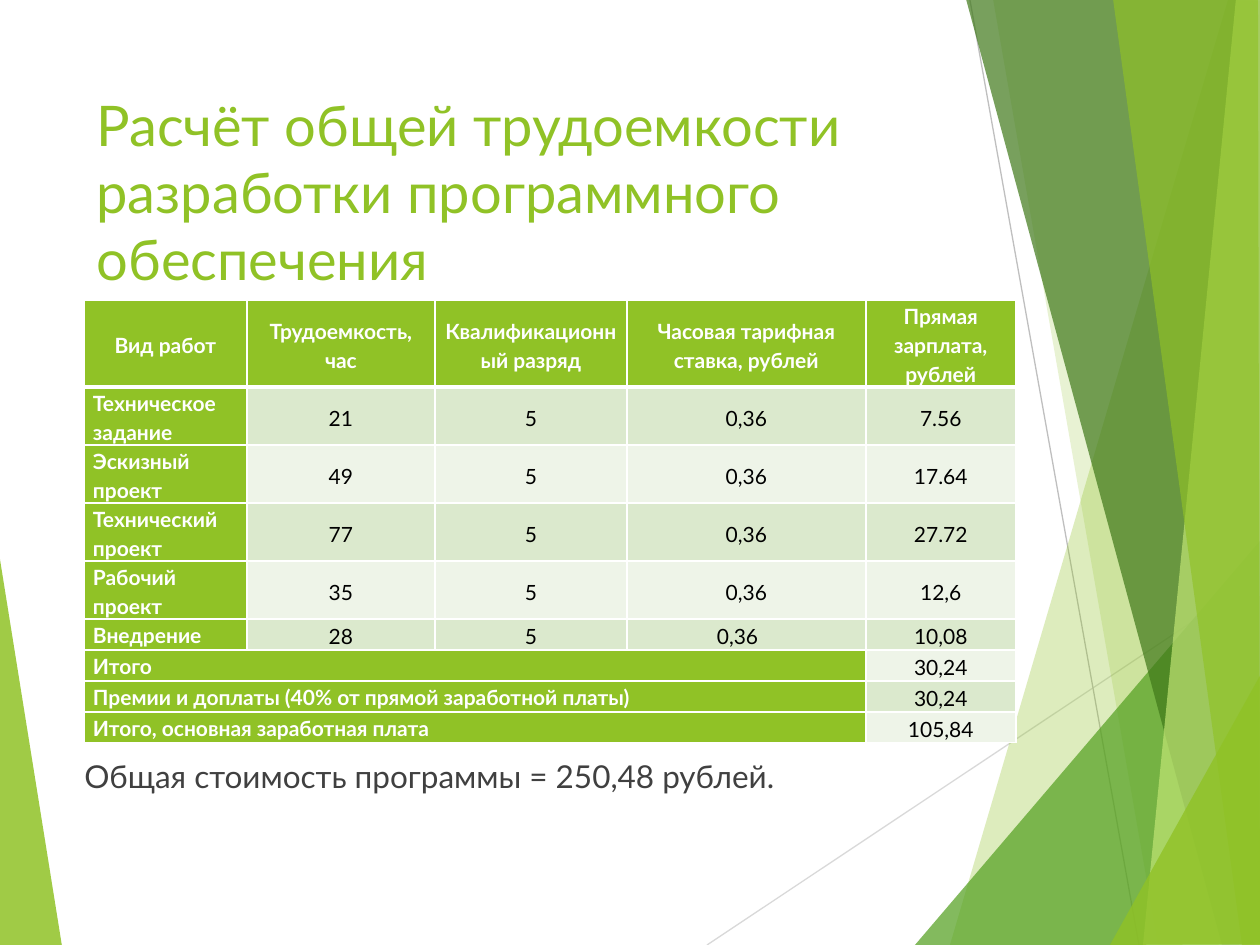
"""Build a slide with the labour cost table for software development."""
import pptx
import pptx.dml.color
import pptx.enum.shapes
import pptx.enum.text
import pptx.oxml.ns
import pptx.util
from lxml import etree

PX = 914400 / 126
FONT = "Lato"
COLORS = {
    "green": "90C226", "leaf": "54A021", "forest": "3F7819", "lime": "C0E474",
    "band": "DBE9CD", "pale": "EEF4E8", "white": "FFFFFF", "black": "000000",
    "text": "404040", "light_line": "D9D9D9", "dark_line": "BFBFBF",
}

TITLE = "Расчёт общей трудоемкости разработки программного обеспечения"
TOTAL = "Общая стоимость программы = 250,48 рублей."
HEADERS = ["Вид работ", "Трудоемкость, час", "Квалификационный разряд",
           "Часовая тарифная ставка, рублей", "Прямая зарплата, рублей"]
WORKS = [
    ["Техническое задание", "21", "5", "0,36", "7.56"],
    ["Эскизный проект", "49", "5", "0,36", "17.64"],
    ["Технический проект", "77", "5", "0,36", "27.72"],
    ["Рабочий проект", "35", "5", "0,36", "12,6"],
    ["Внедрение", "28", "5", "0,36", "10,08"],
]
SUMS = [
    ["Итого", "30,24"],
    ["Премии и доплаты (40% от прямой заработной платы)", "30,24"],
    ["Итого, основная заработная плата", "105,84"],
]
COLUMN_WIDTHS = [163, 188, 192, 239, 150]
ROW_HEIGHTS = [87] + [58] * 4 + [31] * 4
INDENTED_CELL = (5, 3)
RATE_INDENT = 81

LEFT_FACET = ("green", 85, [(-1, 553), (62, 946), (-1, 945)])
RAYS = [("light_line", (707, 945), (1261, 576)), ("dark_line", (970, 0), (1139, 945))]
RIGHT_FACETS = [
    ("green", 30, [(1228, 0), (950, 945), (1262, 946), (1261, 1)]),
    ("green", 20, [(993, -1), (1158, 945), (1261, 945), (1261, -1)]),
    ("leaf", 72, [(915, 945), (1260, 541), (1261, 945)]),
    ("forest", 70, [(966, -1), (1222, 945), (1261, 944), (1261, -1)]),
    ("lime", 70, [(1236, -1), (1143, 945), (1261, 945), (1260, -1)]),
    ("green", 65, [(1113, -1), (1242, 945), (1260, 945), (1258, -1)]),
    ("green", 80, [(1110, 945), (1261, 674), (1261, 944)]),
]


def px(value):
    return pptx.util.Emu(round(value * PX))


def rgb(name):
    return pptx.dml.color.RGBColor.from_string(COLORS[name])


def add_element(parent, tag, **attributes):
    return etree.SubElement(parent, pptx.oxml.ns.qn(tag), attributes)


def write(text_frame, text, size, color, bold=False):
    paragraph = text_frame.paragraphs[0]
    run = paragraph.add_run()
    run.text = text
    run.font.name = FONT
    run.font.size = pptx.util.Pt(size)
    run.font.bold = bold
    run.font.color.rgb = rgb(color)
    return paragraph


def add_facet(slide, color, opacity, points):
    builder = slide.shapes.build_freeform(*points[0], scale=PX)
    builder.add_line_segments(points[1:], close=True)
    shape = builder.convert_to_shape()
    shape.shadow.inherit = False
    shape.line.fill.background()
    shape.fill.solid()
    shape.fill.fore_color.rgb = rgb(color)
    color_element = shape.fill._xPr.find(".//" + pptx.oxml.ns.qn("a:srgbClr"))
    add_element(color_element, "a:alpha", val=str(opacity * 1000))


def add_ray(slide, color, start, end):
    ray = slide.shapes.add_connector(
        pptx.enum.shapes.MSO_CONNECTOR.STRAIGHT, *map(px, start + end))
    ray.line.color.rgb = rgb(color)
    ray.line.width = pptx.util.Pt(0.75)
    add_element(ray._element.spPr, "a:effectLst")


def add_borders(cell, bottom_width):
    properties = cell._tc.get_or_add_tcPr()
    for side, width in (("L", 1), ("R", 1), ("T", 1), ("B", bottom_width)):
        line = add_element(properties, "a:ln" + side, w=str(pptx.util.Pt(width)))
        fill = add_element(line, "a:solidFill")
        add_element(fill, "a:srgbClr", val=COLORS["white"])


def format_cell(cell, text, row, column):
    is_header = row == 0
    is_label = is_header or column < len(HEADERS) - 1 and (column == 0 or row > len(WORKS))
    add_borders(cell, 3 if is_header else 1)
    cell.fill.solid()
    cell.fill.fore_color.rgb = rgb("green" if is_label else "band" if row % 2 else "pale")
    cell.margin_left = cell.margin_right = px(9)
    cell.margin_top = cell.margin_bottom = 0
    if not text:
        return
    paragraph = write(cell.text_frame, text, 12, "white" if is_label else "black", is_label)
    paragraph.line_spacing = 1.15
    if is_header or not is_label:
        cell.vertical_anchor = pptx.enum.text.MSO_ANCHOR.MIDDLE
        paragraph.alignment = pptx.enum.text.PP_ALIGN.CENTER
    if (row, column) == INDENTED_CELL:
        paragraph.alignment = pptx.enum.text.PP_ALIGN.LEFT
        paragraph._p.get_or_add_pPr().set("marL", str(px(RATE_INDENT)))


def add_cost_table(slide):
    rows = [HEADERS] + WORKS + [[label, "", "", "", value] for label, value in SUMS]
    frame = slide.shapes.add_table(
        len(rows), len(HEADERS), px(84), px(300), px(sum(COLUMN_WIDTHS)), px(sum(ROW_HEIGHTS)))
    table = frame.table
    for column, width in zip(table.columns, COLUMN_WIDTHS):
        column.width = px(width)
    for row, height in zip(table.rows, ROW_HEIGHTS):
        row.height = px(height)
    for row, texts in enumerate(rows):
        for column, text in enumerate(texts):
            format_cell(table.cell(row, column), text, row, column)
    for row in range(len(WORKS) + 1, len(rows)):
        table.cell(row, 0).merge(table.cell(row, len(HEADERS) - 2))


def main():
    presentation = pptx.Presentation()
    presentation.slide_width, presentation.slide_height = px(1260), px(945)
    slide = presentation.slides.add_slide(presentation.slide_layouts[5])

    add_facet(slide, *LEFT_FACET)
    for ray in RAYS:
        add_ray(slide, *ray)
    for facet in RIGHT_FACETS:
        add_facet(slide, *facet)

    title = slide.shapes.title
    title.left, title.top, title.width, title.height = map(px, (84, 84, 874, 206))
    title.text_frame.auto_size = pptx.enum.text.MSO_AUTO_SIZE.NONE
    title.text_frame.vertical_anchor = pptx.enum.text.MSO_ANCHOR.TOP
    heading = write(title.text_frame, TITLE, 32, "green")
    heading.alignment = pptx.enum.text.PP_ALIGN.LEFT

    add_cost_table(slide)

    total = slide.shapes.add_textbox(*map(px, (72, 751, 874, 74)))
    total.text_frame.word_wrap = True
    write(total.text_frame, TOTAL, 18, "text").space_before = pptx.util.Pt(10)

    presentation.save("out.pptx")


if __name__ == "__main__":
    main()
